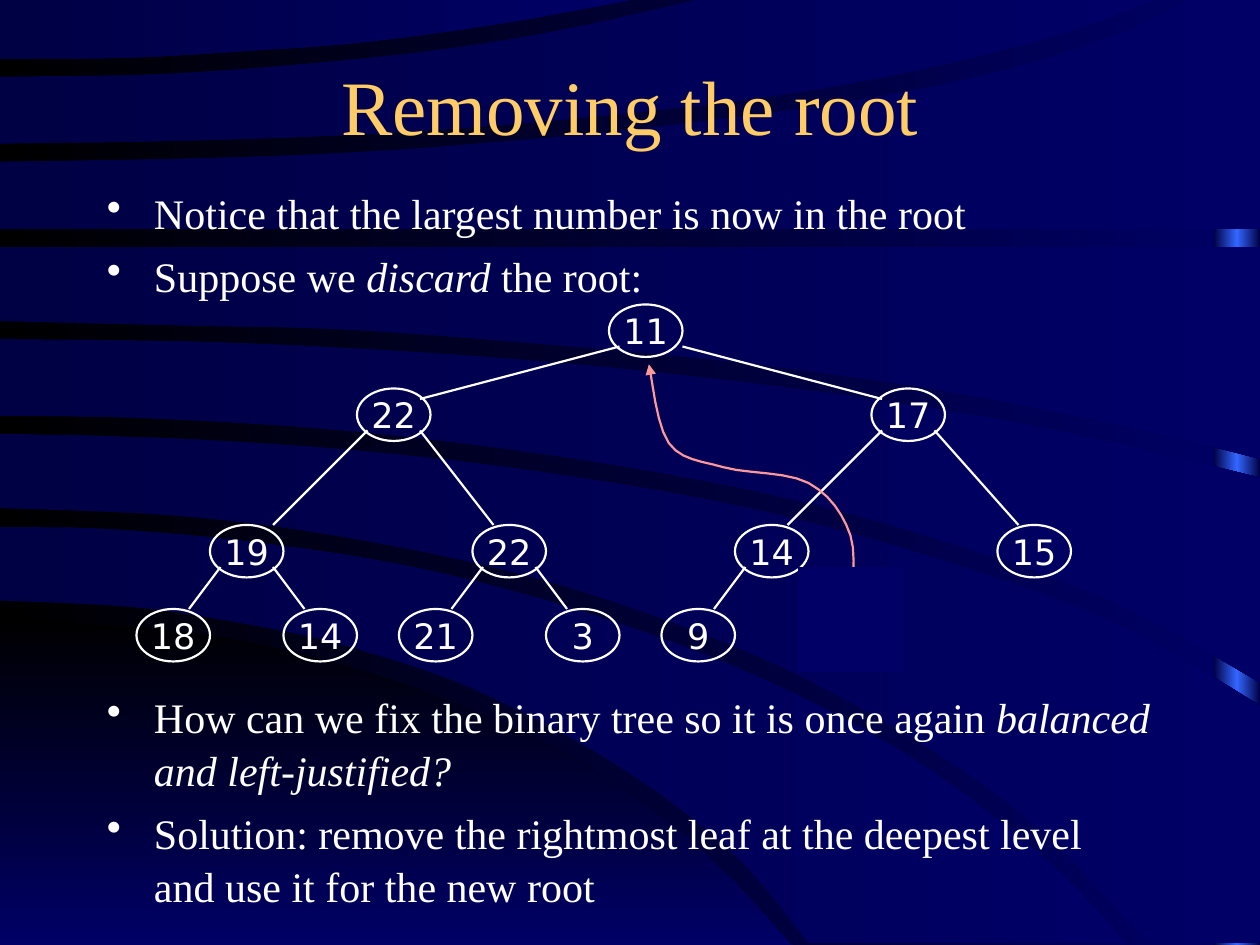
from copy import deepcopy

from pptx import Presentation
from pptx.dml.color import RGBColor
from pptx.enum.shapes import MSO_CONNECTOR as CONN, MSO_SHAPE as SHAPE
from pptx.enum.text import MSO_ANCHOR as ANCHOR, MSO_AUTO_SIZE as AUTO, PP_ALIGN as ALIGN
from pptx.oxml.ns import qn
from pptx.util import Cm, Pt

THEME = {
    "black": RGBColor(0x00, 0x00, 0x00),
    "navy": RGBColor(0x00, 0x00, 0x44),
    "blue": RGBColor(0x00, 0x00, 0x66),
    "glow": RGBColor(0x33, 0x66, 0xFF),
    "arrow": RGBColor(0xFF, 0x99, 0x99),
    "title": {"name": "Times New Roman", "size": Pt(44), "color": RGBColor(0xFF, 0xCC, 0x66)},
    "body": {"name": "Times New Roman", "size": Pt(24), "color": RGBColor(0xFF, 0xFF, 0xFF)},
    "node": {"name": "DejaVu Sans", "size": Pt(20), "color": RGBColor(0xFF, 0xFF, 0xFF)},
    "line": Pt(1.25),
}
WHITE = THEME["node"]["color"]
GRID = 2.54 / 12  # everything sits on a grid of 120 x 90 units
FINE = 100        # freeform steps per grid unit
SMOOTH = 6        # straight pieces between two knots


def grid(*units):
    return [Cm(n * GRID) for n in units]


def curve(knots):
    """Points of a Catmull-Rom curve through the knots."""
    ends = [knots[0], *knots, knots[-1]]
    points = []
    for a, b, c, d in zip(ends, ends[1:], ends[2:], ends[3:]):
        for t in (i / SMOOTH for i in range(SMOOTH)):
            points.append([FINE * (q + t * (r - p) / 2 + t**2 * (2 * p - 5 * q + 4 * r - s) / 2
                                   + t**3 * (3 * q - p - 3 * r + s) / 2)
                           for p, q, r, s in zip(a, b, c, d)])
    return points + [[FINE * n for n in knots[-1]]]


prs = Presentation()
prs.slide_width, prs.slide_height = grid(120, 90)
s = prs.slides.add_slide(prs.slide_layouts[5])
shapes = s.shapes

# Background: gradient, glowing right edge, dark corner and sweeping bands
gradients = [(s.background.fill, ("black", "blue"), 0)]
glow = shapes.add_shape(SHAPE.RECTANGLE, *grid(115.6, 0, 4.4, 90))
glow.shadow.inherit = False
glow.line.fill.background()
glow.fill.gradient()
stops = glow._element.spPr.find(".//" + qn("a:gsLst"))
stops.insert(1, deepcopy(stops[0]))
gradients.append((glow.fill, ("navy", "glow", "navy"), 0))

CORNER = [[(0, 58.9), (13.4, 59.8), (23.2, 61.1), (33.1, 63.5), (43.3, 67), (55.4, 72.7),
           (66.4, 80.5), (75.4, 90)], [(0, 90)]]
BANDS = [
    [[(0, 50.2), (10.4, 50.4), (24.7, 51.7), (40.2, 54.2), (56.6, 58.6), (72.7, 64.7),
      (87.2, 72.4), (100, 82.2), (107.2, 89.8)],
     [(77, 89.8), (69.8, 81.2), (59, 73), (45.1, 65.6), (32.2, 61.3), (22.2, 59.2),
      (12.6, 57.8), (0, 57.2)]],
    [[(0, 41.3), (17.3, 41.8), (34.7, 43), (51.1, 44.9), (68.4, 47.8), (83.2, 51.4),
      (98.2, 56.2), (108.5, 60.4), (120, 67.2)], [(120, 89.8)],
     [(109.1, 89.8), (100.6, 80.4), (90.7, 72.7), (76.3, 64.4), (62.5, 58.7), (48.6, 54.4),
      (32, 51), (16.8, 49.1), (0, 48.4)]],
    [[(0, 32.3), (20.2, 32.6), (41.9, 33.7), (62.8, 35.5), (85.7, 38.4), (103.1, 41.5),
      (120, 45.5)],
     [(120, 65), (109.4, 59), (98, 54.2), (82, 49.2), (67.2, 45.8), (48.7, 42.8),
      (30.6, 40.8), (13.1, 39.8), (0, 39.6)]],
    [[(0, 23.5)], [(120, 23.5)],
     [(120, 43.7), (109.8, 41.2), (91, 37.4), (72.8, 34.8), (54.6, 33), (33.4, 31.4),
      (17.6, 31), (0, 30.6)]],
    [[(0, 15.4), (18.8, 15.1), (34.3, 14.5), (50.4, 13.3), (65, 11.8), (82.1, 9.5),
      (96.4, 6.5), (107, 3), (113, 0)], [(120, 0)], [(120, 21.8)], [(0, 21.8)]],
    [[(0, 7.3), (14.5, 7.1), (28, 6.2), (41.6, 4.8), (53.4, 2.9), (66.5, 0)],
     [(110, 0), (102.5, 2.8), (92.6, 5.5), (77.8, 8.5), (60.5, 10.7), (40.9, 12.4),
      (21.2, 13.3), (0, 13.7)]],
    [[(0, 0)], [(0, 5.6), (12.1, 5.5), (24.2, 4.8), (34.7, 4), (47.9, 2.2), (60, 0)]],
]
for edges in [CORNER, *BANDS]:
    outline = [pt for edge in edges for pt in curve(edge)]
    builder = shapes.build_freeform(*outline[0], scale=Cm(GRID) / FINE)
    builder.add_line_segments(outline[1:], close=True)
    sp = builder.convert_to_shape()
    sp.shadow.inherit = False
    sp.line.fill.background()
    gradients.append((sp.fill, ("black", "blue"), 270) if edges is CORNER
                     else (sp.fill, ("navy", "blue"), 0))

for fill, names, angle in gradients:
    if fill is not glow.fill:
        fill.gradient()
    fill.gradient_angle = angle
    for i, (stop, name) in enumerate(zip(fill.gradient_stops, names)):
        stop.color.rgb = THEME[name]
        stop.position = i / (len(names) - 1)

# Title, lifted above the bands, and the two bullet blocks
title = shapes.title
shapes._spTree.append(title._element)
title.left, title.top, title.width, title.height = grid(4, 5, 112, 10)
title.text_frame.vertical_anchor = ANCHOR.MIDDLE
title.text_frame.auto_size = AUTO.NONE
p = title.text_frame.paragraphs[0]
p.alignment = ALIGN.CENTER
r = p.add_run()
r.text = "Removing the root"
runs = [(r, THEME["title"])]

BULLETS = [  # box, paragraphs of (text, italic) runs
    ((9, 17, 102, 13), [
        [("Notice that the largest number is now in the root", False)],
        [("Suppose we ", False), ("discard", True), (" the root:", False)]]),
    ((9, 65, 102, 22), [
        [("How can we fix the binary tree so it is once again ", False),
         ("balanced and left-justified?", True)],
        [("Solution: remove the rightmost leaf at the deepest level "
          "and use it for the new root", False)]]),
]
for box, paragraphs in BULLETS:
    tf = shapes.add_textbox(*grid(*box)).text_frame
    tf.word_wrap = True
    for i, parts in enumerate(paragraphs):
        p = tf.add_paragraph() if i else tf.paragraphs[0]
        p.space_before = Pt(6)
        p.line_spacing = 1.05
        pPr = p._p.get_or_add_pPr()
        pPr.set("marL", str(Cm(0.95)))
        pPr.set("indent", str(-Cm(0.95)))
        pPr.makeelement(qn("a:buChar"), {"char": "•"})
        pPr.append(pPr.makeelement(qn("a:buChar"), {"char": "•"}))
        for text, italic in parts:
            r = p.add_run()
            r.text = text
            r.font.italic = italic
            runs.append((r, THEME["body"]))

# Binary tree: value, left, top, then the line from the parent: start and end
NODES = [
    ("22", 34, 37, (59, 33), (40, 38)), ("17", 83, 37, (65, 33), (84, 38)),
    ("19", 20, 50, (35, 41), (26, 50)), ("22", 45, 50, (40, 41), (47, 50)),
    ("14", 70, 50, (84, 41), (75, 50)), ("15", 95, 50, (89, 41), (97, 50)),
    ("18", 13, 58, (21, 54), (18, 58)), ("14", 27, 58, (26, 54), (29, 58)),
    ("21", 38, 58, (46, 54), (43, 58)), ("3", 52, 58, (51, 54), (54, 58)),
    ("9", 63, 58, (71, 54), (68, 58)), ("11", 58, 29, None, None),
]
for value, left, top, start, end in NODES:
    sp = shapes.add_shape(SHAPE.OVAL, *grid(left, top, 7, 5))
    sp.shadow.inherit = False
    sp.fill.background()
    outlined = [sp]
    tf = sp.text_frame
    tf.word_wrap = False
    tf.vertical_anchor = ANCHOR.MIDDLE
    p = tf.paragraphs[0]
    p.alignment = ALIGN.CENTER
    r = p.add_run()
    r.text = value
    runs.append((r, THEME["node"]))
    if start:
        branch = shapes.add_connector(CONN.STRAIGHT, *grid(*start, *end))
        spPr = branch._element.spPr
        outlined.append(branch)
    for item in outlined:
        item.line.color.rgb = WHITE
        item.line.width = THEME["line"]
    if start:
        spPr.append(spPr.makeelement(qn("a:effectLst"), {}))

# Arrow from the removed leaf to the root, and the patch over that leaf
route = curve([(81, 58), (81, 51), (77, 46), (68.9, 44.5), (63.7, 42.2), (61.8, 34.7)])
builder = shapes.build_freeform(*route[0], scale=Cm(GRID) / FINE)
builder.add_line_segments(route[1:], close=False)
arrow = builder.convert_to_shape()
arrow.shadow.inherit = False
arrow.fill.background()
arrow.line.color.rgb = THEME["arrow"]
arrow.line.width = THEME["line"]
ln = arrow.line._get_or_add_ln()
ln.append(ln.makeelement(qn("a:tailEnd"), {"type": "triangle"}))

patch = shapes.add_shape(SHAPE.RECTANGLE, *grid(76, 54, 10, 10))
patch.shadow.inherit = False
patch.fill.solid()
patch.fill.fore_color.rgb = THEME["blue"]
patch.line.fill.background()

for r, style in runs:
    for key, value in style.items():
        if key == "color":
            r.font.color.rgb = value
        else:
            setattr(r.font, key, value)

prs.save("out.pptx")
